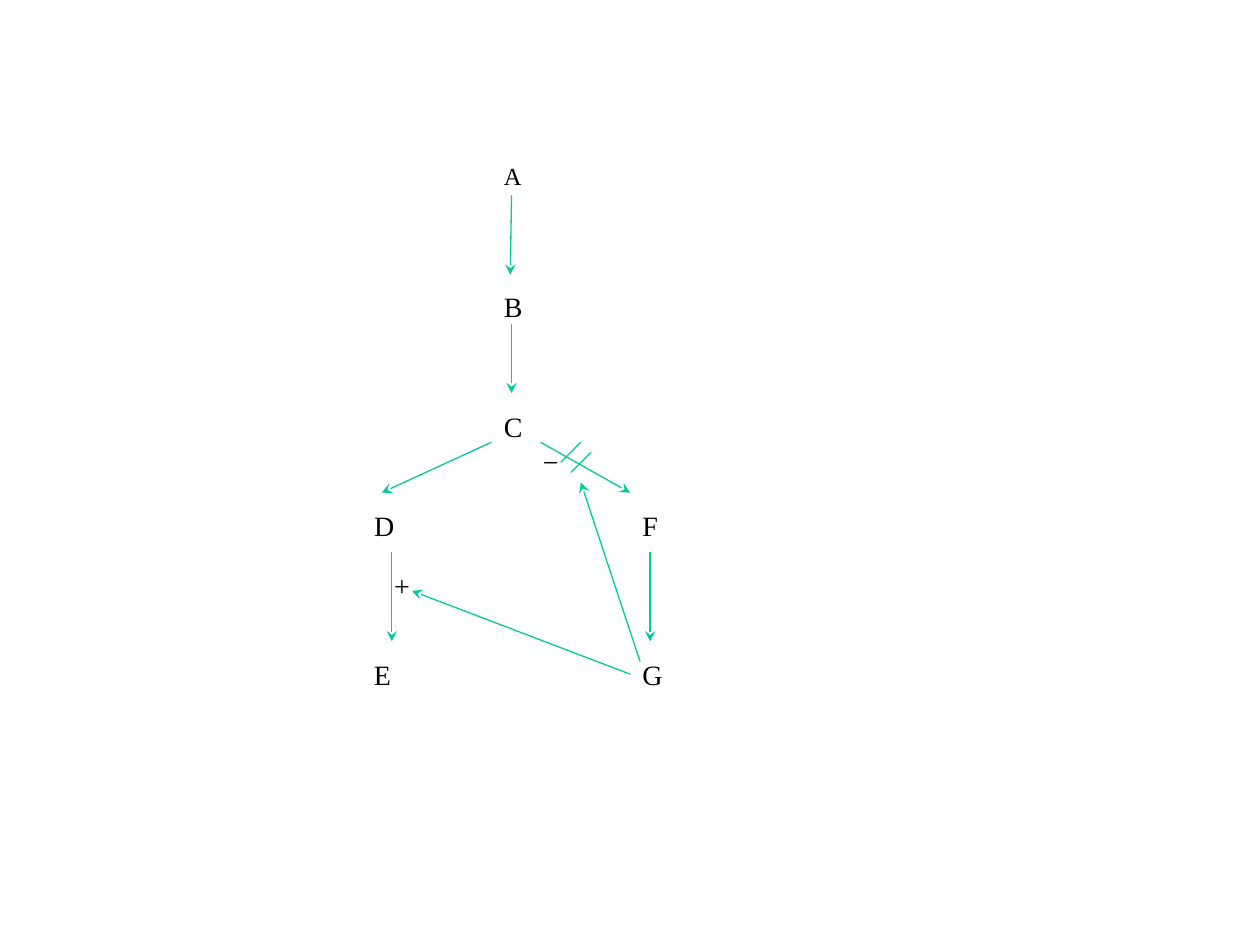
"""Build a slide with a branching pathway diagram and its feedback arrows."""
from dataclasses import dataclass

import lxml.etree
import pptx
import pptx.dml.color
import pptx.enum.shapes
import pptx.enum.text
import pptx.oxml.ns
import pptx.slide
import pptx.util

Inches = pptx.util.Inches
GREEN = pptx.dml.color.RGBColor(0x00, 0xCC, 0x98)
BLACK = pptx.dml.color.RGBColor(0x00, 0x00, 0x00)
FONT = "Times New Roman"
LEFT_X, CENTER_X, RIGHT_X = 2.87, 3.9, 5
BRANCH_Y, END_Y = 3.99, 5.17


@dataclass(frozen=True)
class Label:
    text: str
    left: float
    top: float
    width: float = 0.39
    height: float = 0.37
    size: int = 16


@dataclass(frozen=True)
class Link:
    start: tuple[float, float]
    end: tuple[float, float]
    arrow: bool = True


LABELS = (
    Label("A", CENTER_X, 1.23, width=0.71, height=0.34, size=14),
    Label("B", CENTER_X, 2.25),
    Label("C", CENTER_X, 3.2),
    Label("D", LEFT_X, BRANCH_Y),
    Label("E", LEFT_X, END_Y, width=0.47),
    Label("F", RIGHT_X, BRANCH_Y, width=0.63),
    Label("G", RIGHT_X, END_Y, width=0.47),
    Label("+", 3.03, 4.46, width=0.31),
    Label("−", 4.21, 3.48, width=0.24),
)

PATHWAY = (
    Link((4.06, 1.55), (4.05, 2.18)),
    Link((4.06, 2.57), (4.06, 3.12)),
    Link((3.9, 3.51), (3.03, 3.91)),
    Link((4.29, 3.51), (5, 3.91)),
    Link((3.11, 4.38), (3.11, 5.09)),
    Link((5.16, 4.38), (5.16, 5.09)),
)
FEEDBACK = (
    Link((5.08, 5.25), (4.61, 3.83)),
    Link((5, 5.35), (3.27, 4.69)),
)
BLOCK_MARKS = tuple(
    Link((4.61 + step, 3.51 + step), (4.45 + step, 3.67 + step), arrow=False)
    for step in (0, 0.08)
)


def write_text(
    frame: pptx.text.text.TextFrame,
    text: str,
    *,
    size: int,
    font: str = FONT,
    color: pptx.dml.color.RGBColor = BLACK,
) -> None:
    """Write one formatted line of text into a frame."""
    frame.word_wrap = True
    frame.vertical_anchor = pptx.enum.text.MSO_ANCHOR.TOP
    run = frame.paragraphs[0].add_run()
    run.text = text
    run.font.name = font
    run.font.size = pptx.util.Pt(size)
    run.font.color.rgb = color


def draw_label(slide: pptx.slide.Slide, label: Label) -> None:
    """Place a label in its own text box."""
    box = slide.shapes.add_textbox(
        Inches(label.left), Inches(label.top), Inches(label.width), Inches(label.height)
    )
    write_text(box.text_frame, label.text, size=label.size)


def draw_link(slide: pptx.slide.Slide, link: Link) -> None:
    """Draw a straight line, with an arrowhead at its end if asked."""
    connector = slide.shapes.add_connector(
        pptx.enum.shapes.MSO_CONNECTOR.STRAIGHT,
        *(Inches(value) for value in link.start + link.end),
    )
    connector.line.color.rgb = GREEN
    connector.line.width = pptx.util.Pt(0.75)
    qn = pptx.oxml.ns.qn
    if link.arrow:
        outline = connector.line._get_or_add_ln()
        lxml.etree.SubElement(outline, qn("a:tailEnd"), type="stealth")
    lxml.etree.SubElement(connector._element.spPr, qn("a:effectLst"))


def main() -> None:
    """Assemble and save the slide."""
    deck = pptx.Presentation()
    deck.slide_width, deck.slide_height = Inches(10), Inches(7.5)
    slide = deck.slides.add_slide(deck.slide_layouts[6])
    for link in PATHWAY + FEEDBACK + BLOCK_MARKS:
        draw_link(slide, link)
    for label in LABELS:
        draw_label(slide, label)
    deck.save("out.pptx")


if __name__ == "__main__":
    main()
